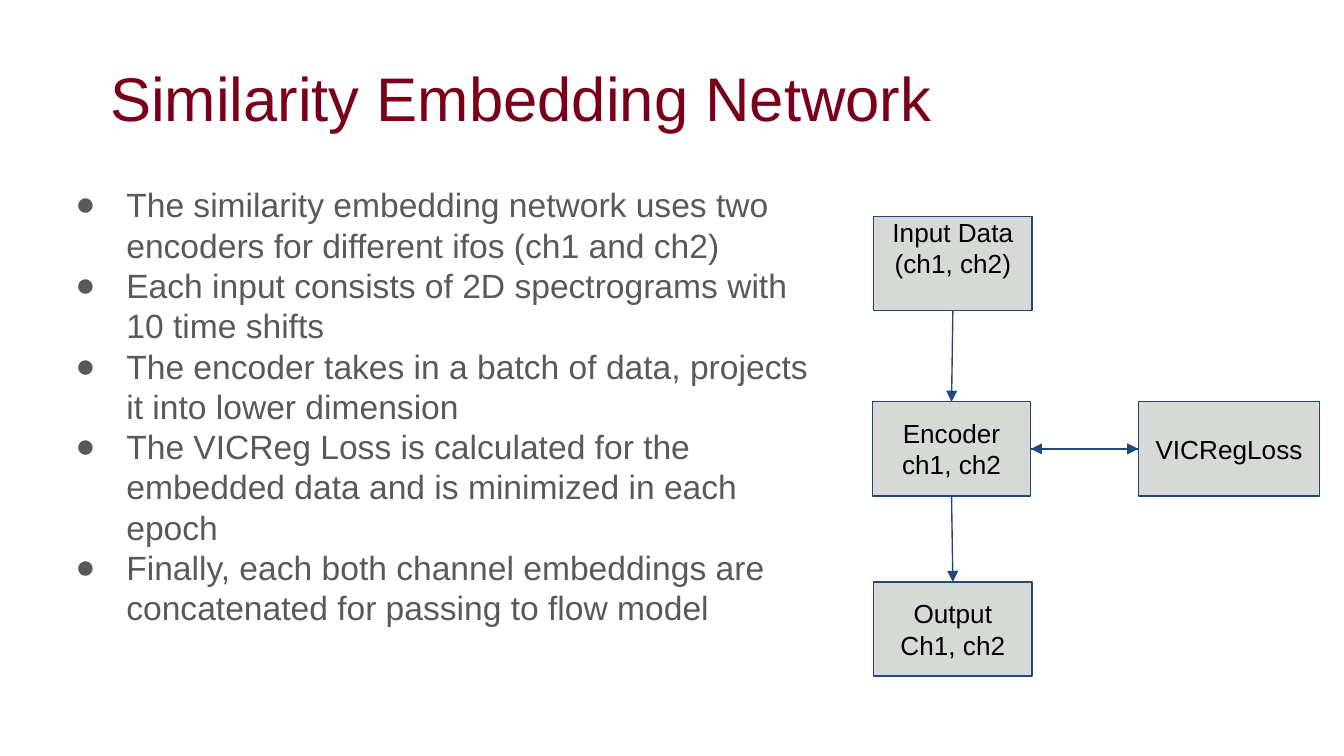
"""Build the Similarity Embedding Network slide."""
import pptx
import pptx.dml.color
import pptx.enum.shapes
import pptx.enum.text
import pptx.oxml
import pptx.oxml.ns
import pptx.util
from pptx.util import Inches

COLORS = {"title": "7A0019", "body": "595959", "box": "D7D9D7", "line": "1F497D", "label": "000000"}
FONT = "Arial"
TITLE = "Similarity Embedding Network"
BULLETS = [
    "The similarity embedding network uses two encoders for different ifos (ch1 and ch2)",
    "Each input consists of 2D spectrograms with 10 time shifts",
    "The encoder takes in a batch of data, projects it into lower dimension",
    "The VICReg Loss is calculated for the embedded data and is minimized in each epoch",
    "Finally, each both channel embeddings are concatenated for passing to flow model",
]
BOX_HEIGHT = 0.7
BOXES = {
    "encoder": ("Encoder\nch1, ch2", 6.49, 2.99, 1.18),
    "loss": ("VICRegLoss", 8.47, 2.99, 1.35),
    "input": ("Input Data\n(ch1, ch2)", 6.5, 1.61, 1.18),
    "output": ("Output\nCh1, ch2", 6.5, 4.33, 1.18),
}
TOP, LEFT, BOTTOM, RIGHT = range(4)
ARROWS = [
    ("input", BOTTOM, "encoder", TOP),
    ("encoder", RIGHT, "loss", LEFT),
    ("loss", LEFT, "encoder", RIGHT),
    ("encoder", BOTTOM, "output", TOP),
]


def rgb(name):
    return pptx.dml.color.RGBColor.from_string(COLORS[name])


def add_element(parent, tag, **attributes):
    element = pptx.oxml.parse_xml(f"<a:{tag} {pptx.oxml.ns.nsdecls('a')}/>")
    for key, value in attributes.items():
        element.set(key, value)
    parent.append(element)
    return element


def format_text(text_frame, size, color, alignment, anchor, margins):
    text_frame.word_wrap = True
    text_frame.auto_size = pptx.enum.text.MSO_AUTO_SIZE.NONE
    text_frame.vertical_anchor = anchor
    text_frame.margin_left = text_frame.margin_right = Inches(margins[0])
    text_frame.margin_top = text_frame.margin_bottom = Inches(margins[1])
    for paragraph in text_frame.paragraphs:
        paragraph.alignment = alignment
        paragraph.space_before = pptx.util.Pt(0)
        for run in paragraph.runs:
            run.font.name = FONT
            run.font.size = pptx.util.Pt(size)
            run.font.color.rgb = rgb(color)


def place(shape, left, top, width, height):
    shape.left, shape.top = Inches(left), Inches(top)
    shape.width, shape.height = Inches(width), Inches(height)


def add_bullet(paragraph):
    properties = paragraph._p.get_or_add_pPr()
    properties.set("marL", str(Inches(0.5)))
    properties.set("indent", str(Inches(-0.38)))
    add_element(add_element(properties, "buClr"), "srgbClr", val=COLORS["body"])
    add_element(properties, "buFont", typeface=FONT)
    add_element(properties, "buChar", char="●")


def add_box(slide, name):
    label, left, top, width = BOXES[name]
    shape = slide.shapes.add_shape(
        pptx.enum.shapes.MSO_SHAPE.RECTANGLE, Inches(left), Inches(top), Inches(width), Inches(BOX_HEIGHT)
    )
    shape.shadow.inherit = False
    shape.fill.solid()
    shape.fill.fore_color.rgb = rgb("box")
    shape.line.color.rgb = rgb("line")
    shape.line.width = pptx.util.Pt(0.75)
    shape.text_frame.text = label
    at_top = name == "input"
    anchor = pptx.enum.text.MSO_ANCHOR.TOP if at_top else pptx.enum.text.MSO_ANCHOR.MIDDLE
    margins = (0.1, 0 if at_top else 0.1)
    format_text(shape.text_frame, 14, "label", pptx.enum.text.PP_ALIGN.CENTER, anchor, margins)
    return shape


def add_arrow(slide, shapes, start, start_site, end, end_site):
    connector = slide.shapes.add_connector(pptx.enum.shapes.MSO_CONNECTOR.STRAIGHT, 0, 0, 0, 0)
    connector.begin_connect(shapes[start], start_site)
    connector.end_connect(shapes[end], end_site)
    connector.line.color.rgb = rgb("line")
    connector.line.width = pptx.util.Pt(0.75)
    add_element(connector.line._get_or_add_ln(), "tailEnd", type="triangle")
    add_element(connector._element.spPr, "effectLst")


def main():
    presentation = pptx.Presentation()
    presentation.slide_width = Inches(10)
    presentation.slide_height = presentation.slide_width * 9 // 16
    slide = presentation.slides.add_slide(presentation.slide_layouts[1])
    left_align = pptx.enum.text.PP_ALIGN.LEFT

    title = slide.shapes.title
    place(title, 0.75, 0.25, 8.5, 0.94)
    title.text_frame.text = TITLE
    format_text(title.text_frame, 33, "title", left_align, pptx.enum.text.MSO_ANCHOR.MIDDLE, (0.07, 0.04))

    body = slide.placeholders[1]
    place(body, 0.34, 1.27, 5.78, 3.67)
    body.text_frame.text = "\n".join(BULLETS)
    format_text(body.text_frame, 18, "body", left_align, pptx.enum.text.MSO_ANCHOR.TOP, (0.1, 0.1))
    for paragraph in body.text_frame.paragraphs:
        add_bullet(paragraph)

    shapes = {name: add_box(slide, name) for name in BOXES}
    for arrow in ARROWS:
        add_arrow(slide, shapes, *arrow)
    presentation.save("out.pptx")


if __name__ == "__main__":
    main()
